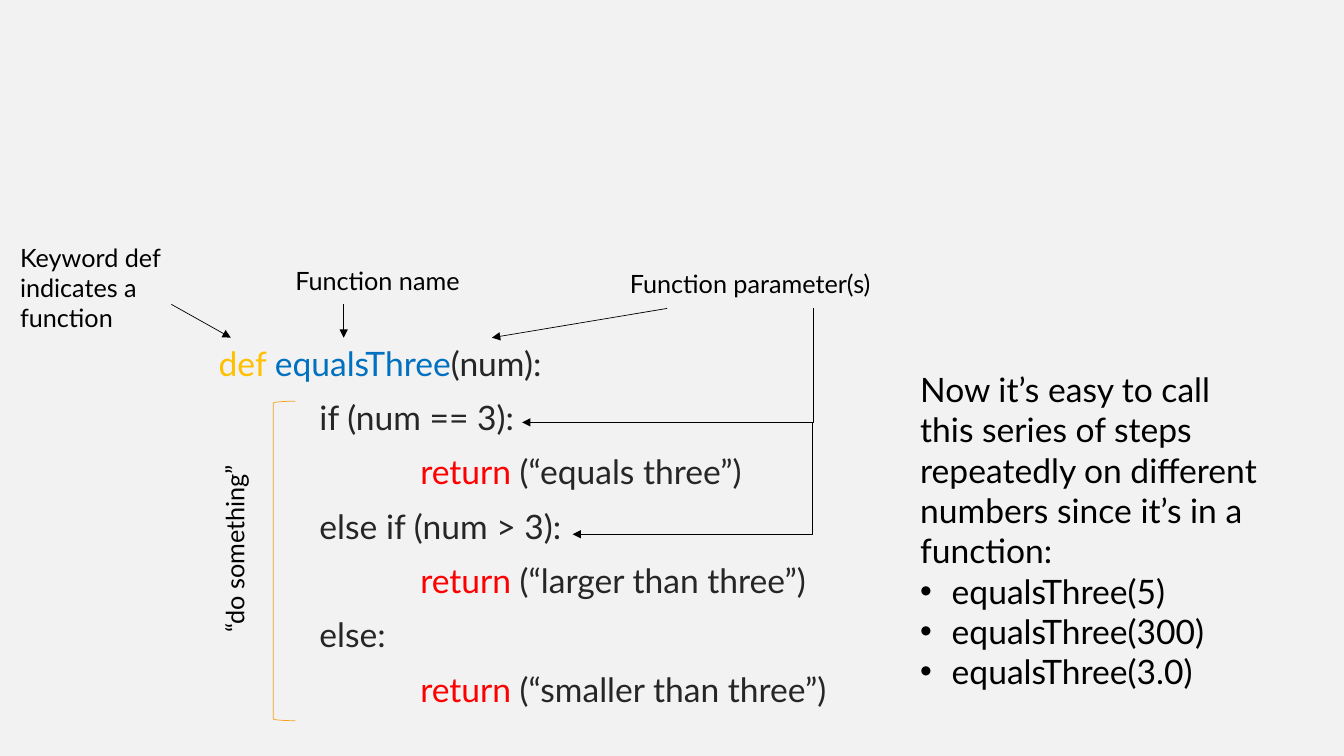
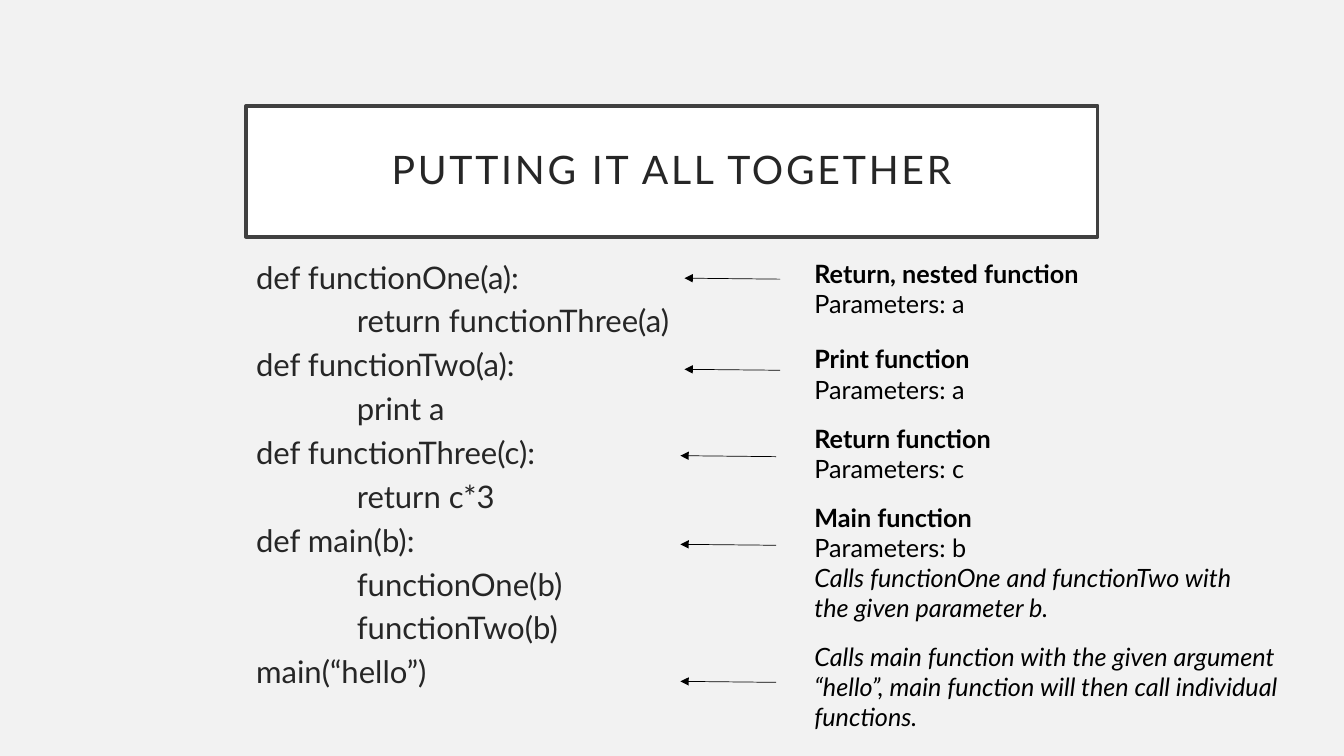
from dataclasses import dataclass

from lxml.etree import SubElement
from pptx import Presentation
from pptx.dml.color import RGBColor
from pptx.enum.shapes import MSO_CONNECTOR, MSO_SHAPE
from pptx.enum.text import MSO_ANCHOR, MSO_AUTO_SIZE, PP_ALIGN
from pptx.oxml.ns import qn
from pptx.shapes.base import BaseShape
from pptx.slide import Slide
from pptx.text.text import TextFrame, _Paragraph
from pptx.util import Pt


# Theme
@dataclass(frozen=True)
class Theme:
    font: str = "Lato"
    background: RGBColor = RGBColor(0xF2, 0xF2, 0xF2)
    title_fill: RGBColor = RGBColor(0xFF, 0xFF, 0xFF)
    title_line: RGBColor = RGBColor(0x40, 0x40, 0x40)
    ink: RGBColor = RGBColor(0x26, 0x26, 0x26)
    black: RGBColor = RGBColor(0, 0, 0)
    keyword: RGBColor = RGBColor(0xFF, 0xC0, 0x00)
    function: RGBColor = RGBColor(0x00, 0x70, 0xC0)
    result: RGBColor = RGBColor(0xFF, 0x00, 0x00)
    bracket: RGBColor = RGBColor(0xF6, 0xA2, 0x1D)
    title_size: float = 28
    code_size: float = 24
    small_code_size: float = 22.2
    note_size: float = 18
    thin_line: float = 0.5
    code_indent: float = 72
    bullet_indent: float = 22.5


THEME = Theme()


# Element descriptions, lengths in points
@dataclass(frozen=True)
class Box:
    left: float
    top: float
    width: float
    height: float


@dataclass(frozen=True)
class Span:
    text: str
    color: RGBColor = THEME.ink


@dataclass(frozen=True)
class CodeLine:
    level: int
    spans: tuple[Span, ...]


@dataclass(frozen=True)
class NoteLine:
    text: str
    bold: bool = False
    italic: bool = False
    bullet: bool = False


@dataclass(frozen=True)
class Note:
    box: Box
    lines: tuple[NoteLine, ...]
    size: float = THEME.note_size
    rotation: float = 0


@dataclass(frozen=True)
class Arrow:
    begin: tuple[float, float]
    end: tuple[float, float]
    bent: bool = False


# Drawing functions
def place(shape: BaseShape, box: Box) -> None:
    shape.left, shape.top = Pt(box.left), Pt(box.top)
    shape.width, shape.height = Pt(box.width), Pt(box.height)


def next_paragraph(frame: TextFrame, index: int) -> _Paragraph:
    return frame.add_paragraph() if index else frame.paragraphs[0]


def set_font(paragraph: _Paragraph, size: float, color: RGBColor) -> None:
    paragraph.font.name = THEME.font
    paragraph.font.size = Pt(size)
    paragraph.font.color.rgb = color


def set_bullet(paragraph: _Paragraph, margin: float, character: str = "") -> None:
    """Set the left margin and a hanging bullet, or no bullet at all."""
    properties = paragraph._p.get_or_add_pPr()
    properties.set("marL", str(Pt(margin)))
    properties.set("indent", str(-Pt(margin) if character else 0))
    if character:
        SubElement(properties, qn("a:buFont")).set("typeface", "Arial")
        SubElement(properties, qn("a:buChar")).set("char", character)
    else:
        SubElement(properties, qn("a:buNone"))


def write_title(slide: Slide, text: str) -> None:
    title = slide.shapes.title
    place(title, Box(175.7, 75.6, 608.4, 93.6))
    title.fill.solid()
    title.fill.fore_color.rgb = THEME.title_fill
    title.line.color.rgb = THEME.title_line
    title.line.width = Pt(2.5)
    frame = title.text_frame
    frame.text = text
    frame.auto_size = MSO_AUTO_SIZE.NONE
    frame.vertical_anchor = MSO_ANCHOR.MIDDLE
    frame.margin_left = frame.margin_right = Pt(14.4)
    frame.margin_top = frame.margin_bottom = Pt(14.4)
    paragraph = frame.paragraphs[0]
    paragraph.alignment = PP_ALIGN.CENTER
    paragraph.line_spacing = 0.9
    set_font(paragraph, THEME.title_size, THEME.ink)
    for run in title.element.iter(qn("a:r")):
        run.get_or_add_rPr().set("spc", "200")


def write_code(slide: Slide, box: Box, lines: tuple[CodeLine, ...],
               size: float, line_spacing: float) -> None:
    body = slide.placeholders[1]
    place(body, box)
    frame = body.text_frame
    frame.auto_size = MSO_AUTO_SIZE.NONE
    for index, line in enumerate(lines):
        paragraph = next_paragraph(frame, index)
        set_bullet(paragraph, line.level * THEME.code_indent)
        paragraph.line_spacing = line_spacing
        paragraph.space_before = Pt(10)
        set_font(paragraph, size, THEME.ink)
        for span in line.spans:
            run = paragraph.add_run()
            run.text = span.text
            if span.color != THEME.ink:
                run.font.color.rgb = span.color


def add_note(slide: Slide, note: Note) -> None:
    text_box = slide.shapes.add_textbox(0, 0, 0, 0)
    place(text_box, note.box)
    text_box.rotation = note.rotation
    frame = text_box.text_frame
    frame.word_wrap = True
    frame.auto_size = MSO_AUTO_SIZE.SHAPE_TO_FIT_TEXT
    for index, line in enumerate(note.lines):
        paragraph = next_paragraph(frame, index)
        paragraph.text = line.text
        if line.bullet:
            set_bullet(paragraph, THEME.bullet_indent, "•")
        set_font(paragraph, note.size, THEME.black)
        paragraph.font.bold = line.bold
        paragraph.font.italic = line.italic


def add_arrow(slide: Slide, arrow: Arrow) -> None:
    kind = MSO_CONNECTOR.ELBOW if arrow.bent else MSO_CONNECTOR.STRAIGHT
    connector = slide.shapes.add_connector(
        kind, *(Pt(value) for value in arrow.begin + arrow.end))
    connector.line.color.rgb = THEME.black
    connector.line.width = Pt(THEME.thin_line)
    properties = connector.element.spPr
    SubElement(properties.find(qn("a:ln")), qn("a:tailEnd")).set("type", "triangle")
    SubElement(properties, qn("a:effectLst"))
    if arrow.bent:  # turn right at the start
        geometry = properties.find(qn("a:prstGeom"))
        guides = geometry.find(qn("a:avLst"))
        if guides is None:
            guides = SubElement(geometry, qn("a:avLst"))
        guide = SubElement(guides, qn("a:gd"))
        guide.set("name", "adj1")
        guide.set("fmla", "val 0")


def add_bracket(slide: Slide, box: Box) -> None:
    bracket = slide.shapes.add_shape(MSO_SHAPE.LEFT_BRACKET, 0, 0, 0, 0)
    place(bracket, box)
    bracket.shadow.inherit = False
    bracket.fill.background()
    bracket.line.color.rgb = THEME.bracket
    bracket.line.width = Pt(THEME.thin_line)


def code(level: int, text: str) -> CodeLine:
    return CodeLine(level, (Span(text),))


def return_line(value: str) -> CodeLine:
    return CodeLine(2, (Span("return", THEME.result), Span(f" (“{value}”)")))


def signature_note(box: Box, heading: str, parameter: str, *extra: NoteLine) -> Note:
    return Note(box, (NoteLine(heading, bold=True),
                      NoteLine(f"Parameters: {parameter}"), *extra))


# Content: parts of a function
FUNCTION_CODE = (
    CodeLine(0, (Span("def ", THEME.keyword), Span("equalsThree", THEME.function),
                 Span("(num):"))),
    code(1, "if (num == 3):"),
    return_line("equals three"),
    code(1, "else if (num > 3):"),
    return_line("larger than three"),
    code(1, "else:"),
    return_line("smaller than three"),
)
FUNCTION_NOTES = (
    Note(Box(7.2, 169.2, 157.7, 51.1), (NoteLine("Keyword def indicates a function"),)),
    Note(Box(203.8, 185.8, 138.2, 28.8), (NoteLine("Function name"),)),
    Note(Box(88.6, 365.8, 157.7, 28.8), (NoteLine("“do something”"),), rotation=270),
    Note(Box(442.8, 187.9, 189.4, 28.8), (NoteLine("Function parameter(s)"),)),
    Note(Box(650.2, 259.9, 260.6, 239.8), (
        NoteLine("Now it’s easy to call this series of steps repeatedly on different "
                 "numbers since it’s in a function:"),
        *(NoteLine(f"equalsThree({value})", bullet=True) for value in ("5", "300", "3.0")),
    ), size=THEME.code_size),
)
FUNCTION_ARROWS = (
    Arrow((122.4, 217.4), (164.9, 241.2)),
    Arrow((245.5, 217.4), (245.5, 241.2)),
    Arrow((476.6, 220.3), (351.4, 241.2)),
    Arrow((581, 220.3), (373, 301.7), bent=True),
    Arrow((580.5, 301.7), (409, 381.6), bent=True),
)

# Content: whole program
PROGRAM_CODE = (
    code(0, "def functionOne(a):"),
    code(1, "return functionThree(a)"),
    code(0, "def functionTwo(a):"),
    code(1, "print a"),
    code(0, "def functionThree(c):"),
    code(1, "return c*3"),
    code(0, "def main(b):"),
    code(1, "functionOne(b)"),
    code(1, "functionTwo(b)"),
    code(0, "main(“hello”)"),
)
NOTE_LEFT = 574.6
PROGRAM_NOTES = (
    signature_note(Box(NOTE_LEFT, 180.7, 231.8, 51.1), "Return, nested function", "a"),
    signature_note(Box(NOTE_LEFT, 241.9, 231.8, 51.1), "Print function", "a"),
    signature_note(Box(NOTE_LEFT, 298.8, 147.6, 51.1), "Return function", "c"),
    signature_note(Box(NOTE_LEFT, 355, 332.6, 94.3), "Main function", "b",
                   NoteLine("Calls functionOne and functionTwo with the given "
                            "parameter b.", italic=True)),
    Note(Box(NOTE_LEFT, 454.3, 362.2, 72.7), (
        NoteLine("Calls main function with the given argument “hello”, main function "
                 "will then call individual functions.", italic=True),)),
)
ARROW_LENGTH, ARROW_RISE = 68.4, 0.7
PROGRAM_ARROWS = tuple(
    Arrow((right, top), (right - ARROW_LENGTH, top - ARROW_RISE))
    for right, top in ((557.3, 199.4), (557.3, 264.5), (554.4, 326.2),
                       (554.4, 389.5), (554.4, 487.4)))

# Presentation and shared background
presentation = Presentation()
presentation.slide_width, presentation.slide_height = Pt(960), Pt(540)
background = presentation.slide_master.background.fill
background.solid()
background.fore_color.rgb = THEME.background
layout = presentation.slide_layouts[1]

# Slide 1: parts of a function
function_slide = presentation.slides.add_slide(layout)
empty_title = function_slide.shapes.title.element
empty_title.getparent().remove(empty_title)
write_code(function_slide, Box(149, 241.2, 504, 298.8), FUNCTION_CODE, THEME.code_size, 1.0)
add_bracket(function_slide, Box(195.1, 286.6, 15.8, 228.2))

# Slide 2: whole program
program_slide = presentation.slides.add_slide(layout)
write_title(program_slide, "PUTTING IT ALL TOGETHER")
write_code(program_slide, Box(175.7, 185.8, 608.4, 315.4), PROGRAM_CODE,
           THEME.small_code_size, 0.8)

# Notes and arrows of both slides
for slide, notes, arrows in ((function_slide, FUNCTION_NOTES, FUNCTION_ARROWS),
                             (program_slide, PROGRAM_NOTES, PROGRAM_ARROWS)):
    for note in notes:
        add_note(slide, note)
    for arrow in arrows:
        add_arrow(slide, arrow)

presentation.save("out.pptx")
